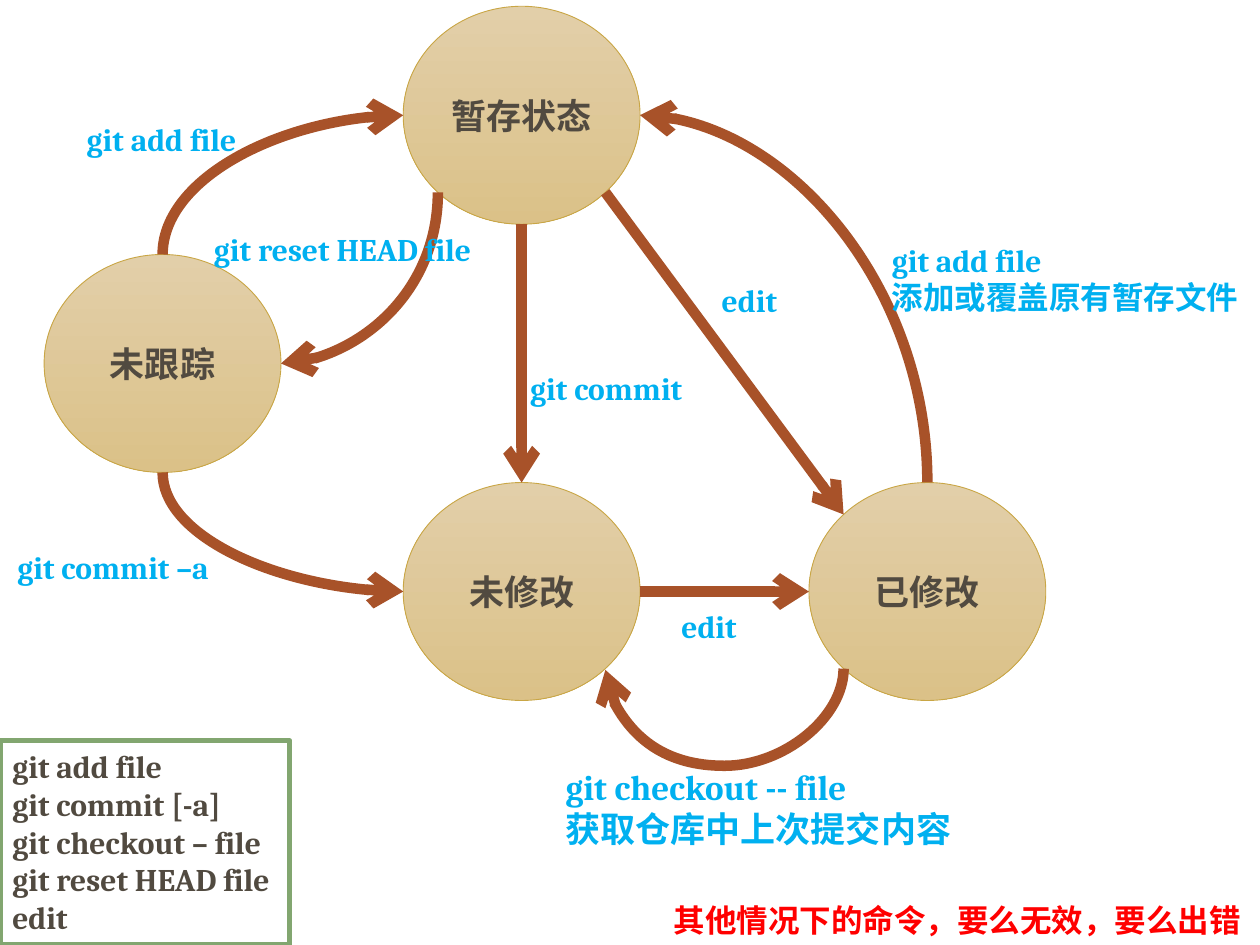
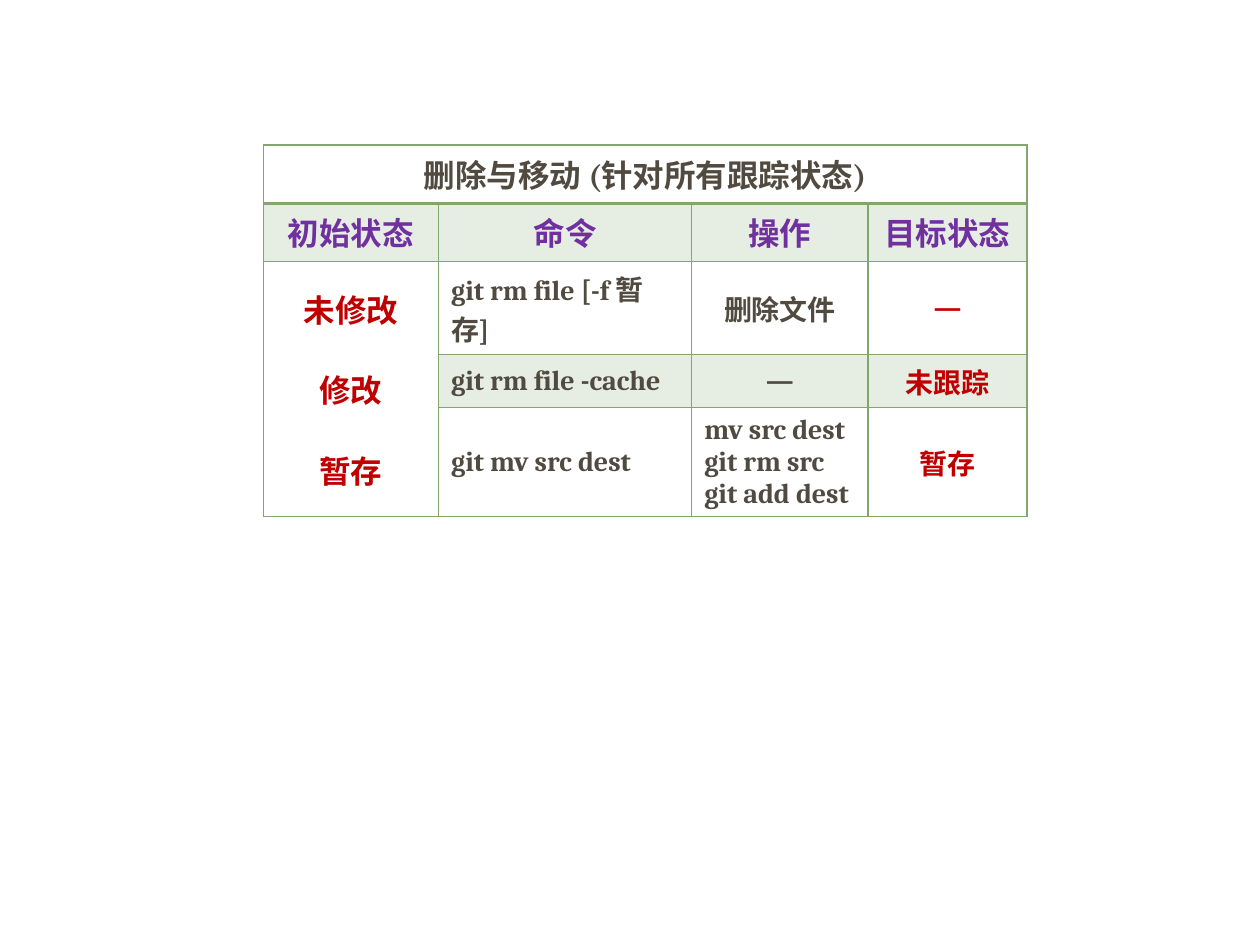
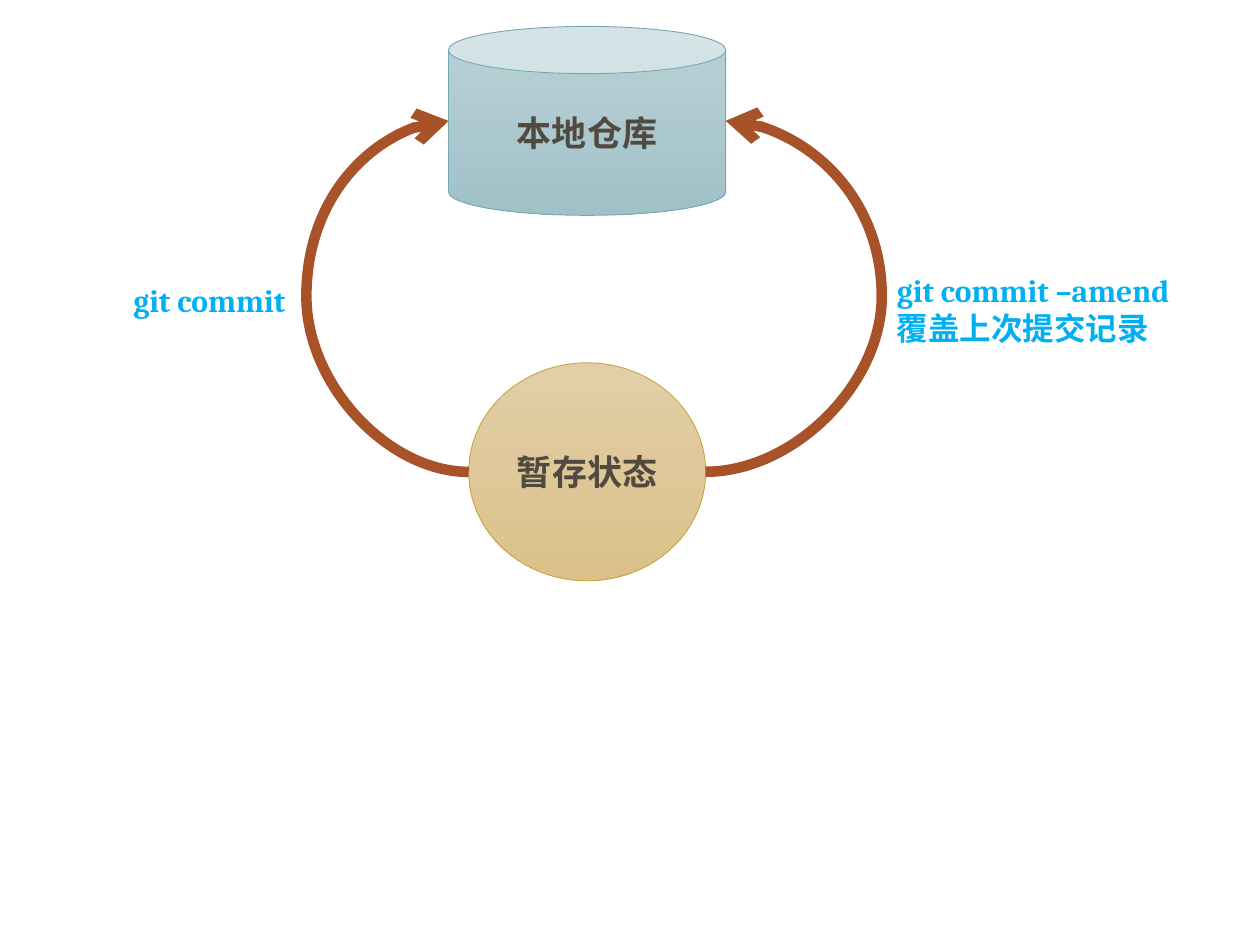
from math import sqrt
from lxml.etree import SubElement
from pptx import Presentation
from pptx.dml.color import RGBColor
from pptx.enum.shapes import MSO_CONNECTOR as CONN, MSO_SHAPE as SHAPE
from pptx.enum.text import MSO_ANCHOR as ANCHOR, MSO_AUTO_SIZE as AUTO, PP_ALIGN as ALIGN
from pptx.oxml import parse_xml
from pptx.oxml.ns import nsdecls, qn
from pptx.util import Inches, Pt

FONT = "Cambria"
DARK, CYAN, RED = "514A40", "00B0F0", "FF0000"
GREEN, ARROW = "82A670", "A85229"
PURPLE, CRIMSON = "7030A0", "C00000"
STATE = ("E2CFA9", "DBC188", "C9A645")
REPO = ("BAD1D6", "A1C1C9", "76A7B2")
STATE_W, STATE_H = 1.88, 1.73
MIN_SPAN = 0.01

D = sqrt(0.5) / 2
ELLIPSE_SITES = {
    "top": (0, 0.5, 0), "left": (2, 0, 0.5), "bottom": (4, 0.5, 1), "right": (6, 1, 0.5),
    "bottom left": (3, 0.5 - D, 0.5 + D), "bottom right": (5, 0.5 + D, 0.5 + D),
    "top left": (1, 0.5 - D, 0.5 - D),
}
CAN_SITES = {"left": (2, 0, 0.5), "right": (4, 1, 0.5)}

FLOW_STATES = {"暂存状态": (3.2, 0.05), "未修改": (3.2, 3.83), "已修改": (6.42, 3.83), "未跟踪": (0.35, 2.02)}
FLOW_ARROWS = [
    ("未跟踪", "top", "暂存状态", "left", "quarter", None),
    ("暂存状态", "bottom", "未修改", "top", "straight", None),
    ("已修改", "top", "暂存状态", "right", "quarter", None),
    ("未跟踪", "bottom", "未修改", "left", "quarter", None),
    ("未修改", "right", "已修改", "left", "straight", None),
    ("暂存状态", "bottom right", "已修改", "top left", "straight", None),
    ("已修改", "bottom left", "未修改", "bottom right", "loop down", 6.09),
    ("暂存状态", "bottom left", "未跟踪", "right", "quarter", None),
]
FLOW_LABELS = [
    (0.59, 0.9, 1.43, 0.4, ["git add file"], {}),
    (5.31, 4.77, 0.66, 0.4, ["edit"], {}),
    (4.11, 2.88, 1.44, 0.4, ["git commit"], {}),
    (6.98, 1.86, 2.98, 0.71, ["git add file", "添加或覆盖原有暂存文件"], {}),
    (5.63, 2.18, 0.66, 0.4, ["edit"], {}),
    (0.04, 4.3, 1.76, 0.4, ["git commit –a"], {}),
    (4.39, 6.03, 3.29, 0.77, ["git checkout -- file", "获取仓库中上次提交内容"], {"size": 20}),
    (5.25, 7.1, 4.75, 0.4, ["其他情况下的命令，要么无效，要么出错"], {"color": RED}),
    (1.6, 1.78, 2.3, 0.4, ["git reset HEAD file"], {}),
]
COMMANDS = ["git add file", "git commit [-a]", "git checkout – file", "git reset HEAD file", "edit"]

TABLE_TITLE = "删除与移动 (针对所有跟踪状态)"
TABLE_HEADS = ["初始状态", "命令", "操作", "目标状态"]
TABLE_STATES = ["未修改", "修改", "暂存"]
TABLE_ROWS = [
    ("git rm file [-f 暂存]", ["删除文件"], "—"),
    ("git rm file -cache", ["—"], "未跟踪"),
    ("git mv src dest", ["mv src dest", "git rm src", "git add dest"], "暂存"),
]
COL_WIDTHS = [1.39, 2.01, 1.4, 1.26]
ROW_HEIGHT = 0.41

REPO_ARROWS = [
    ("暂存状态", "left", "本地仓库", "left", "loop side", 2.43),
    ("暂存状态", "right", "本地仓库", "right", "loop side", 7),
]
REPO_LABELS = [
    (0.96, 2.18, 1.44, 0.4, ["git commit"], {}),
    (7.02, 2.1, 2.47, 0.71, ["git commit –amend", "覆盖上次提交记录"], {}),
]


def rgb(color):
    return RGBColor.from_string(color)


def write(tf, lines, size=18, color=DARK, align=ALIGN.LEFT, gap=0):
    for i, line in enumerate(lines):
        p = tf.add_paragraph() if i else tf.paragraphs[0]
        p.alignment = align
        if i and gap:
            p.space_before = Pt(gap)
        r = p.add_run()
        r.text = line
        r.font.name, r.font.size, r.font.bold = FONT, Pt(size), True
        r.font.color.rgb = rgb(color)


def add_node(s, text, x, y, w=STATE_W, h=STATE_H, shape=SHAPE.OVAL, colors=STATE):
    sp = s.shapes.add_shape(shape, Inches(x), Inches(y), Inches(w), Inches(h))
    sp.shadow.inherit = False
    sp.fill.gradient()
    sp.fill.gradient_angle = 270
    for stop, color, pos in zip(sp.fill.gradient_stops, colors, (0, 1)):
        stop.color.rgb = rgb(color)
        stop.position = pos
    sp.line.color.rgb = rgb(colors[2])
    sp.line.width = Pt(0.5)
    sp.text_frame.vertical_anchor = ANCHOR.MIDDLE
    write(sp.text_frame, [text], size=20, align=ALIGN.CENTER)
    sites = CAN_SITES if shape == SHAPE.CAN else ELLIPSE_SITES
    return sp, {k: (i, x + fx * w, y + fy * h) for k, (i, fx, fy) in sites.items()}


def bend(cx, x1, y1, x2, y2, kind, via):
    dx, dy = x2 - x1, y2 - y1
    if kind == "loop side":
        rot = 180 if dx < 0 else 0
        flip_h, flip_v = False, (dy < 0) != (dx < 0)
        w, h = abs(dx), abs(dy)
    else:
        same = dx * dy > 0
        rot = 270 if same else 90
        flip_h, flip_v = (dy < 0) != same, (dx > 0) != same
        w, h = abs(dy), abs(dx)
    cx.left, cx.top = Inches((x1 + x2 - w) / 2), Inches((y1 + y2 - h) / 2)
    cx.width, cx.height = Inches(w), Inches(h)
    xfrm = cx.element.spPr.find(qn("a:xfrm"))
    for name, value in (("rot", rot * 60000), ("flipH", int(flip_h)), ("flipV", int(flip_v))):
        xfrm.set(name, str(value))
    geom = cx.element.spPr.find(qn("a:prstGeom"))
    if kind == "quarter":
        geom.set("prst", "curvedConnector2")
        return
    ratio = (via - x1) / dx if kind == "loop side" else (via - y1) / dy
    guides = geom.find(qn("a:avLst"))
    if guides is None:
        guides = SubElement(geom, qn("a:avLst"))
    SubElement(guides, qn("a:gd"), name="adj1", fmla=f"val {round(ratio * 100000)}")


def add_arrow(s, nodes, start, start_site, end, end_site, kind, via):
    (sp1, sites1), (sp2, sites2) = nodes[start], nodes[end]
    i1, x1, y1 = sites1[start_site]
    i2, x2, y2 = sites2[end_site]
    if kind == "loop down":
        y2 = y1 + MIN_SPAN
    form = CONN.STRAIGHT if kind == "straight" else CONN.CURVE
    cx = s.shapes.add_connector(form, Inches(x1), Inches(y1), Inches(x2), Inches(y2))
    if kind != "straight":
        bend(cx, x1, y1, x2, y2, kind, via)
    joints = cx.element.find(".//" + qn("p:cNvCxnSpPr"))
    for tag, sp, i in (("a:stCxn", sp1, i1), ("a:endCxn", sp2, i2)):
        SubElement(joints, qn(tag), id=str(sp.shape_id), idx=str(i))
    cx.line.color.rgb = rgb(ARROW)
    cx.line.width = Pt(6)
    SubElement(cx.element.spPr.find(qn("a:ln")), qn("a:tailEnd"), type="arrow")
    SubElement(cx.element.spPr, qn("a:effectLst"))


def add_label(s, x, y, w, h, lines, style):
    sp = s.shapes.add_textbox(Inches(x), Inches(y), Inches(w), Inches(h))
    sp.text_frame.word_wrap = False
    sp.text_frame.auto_size = AUTO.SHAPE_TO_FIT_TEXT
    write(sp.text_frame, lines, **{"color": CYAN, **style})


def add_diagram(s, nodes, arrows, labels):
    for arrow in arrows:
        add_arrow(s, nodes, *arrow)
    for label in labels:
        add_label(s, *label)


def add_command_list(s):
    sp = s.shapes.add_shape(SHAPE.RECTANGLE, 0, Inches(5.88), Inches(2.3), Inches(1.62))
    sp.shadow.inherit = False
    sp.fill.solid()
    sp.fill.fore_color.rgb = rgb("FFFFFF")
    sp.line.color.rgb = rgb(GREEN)
    sp.line.width = Pt(3)
    tf = sp.text_frame
    tf.word_wrap, tf.auto_size = False, AUTO.SHAPE_TO_FIT_TEXT
    tf.vertical_anchor = ANCHOR.TOP
    write(tf, COMMANDS)


def style_cell(cell, row):
    if row in (1, 3):
        cell.fill.solid()
        cell.fill.fore_color.rgb = rgb(GREEN)
        color = cell.fill._xPr.find(".//" + qn("a:srgbClr"))
        SubElement(color, qn("a:alpha"), val="20000")
    else:
        cell.fill.background()
    tc_pr = cell.fill._xPr
    for i, side in enumerate("LRTB"):
        thick = (row, side) in ((0, "B"), (1, "T"))
        tc_pr.insert(i, parse_xml(
            f'<a:ln{side} {nsdecls("a")} w="{Pt(2 if thick else 1)}">'
            f'<a:solidFill><a:srgbClr val="{GREEN}"/></a:solidFill></a:ln{side}>'))


def add_command_table(s):
    rows, cols = 2 + len(TABLE_ROWS), len(COL_WIDTHS)
    frame = s.shapes.add_table(rows, cols, Inches(2.09), Inches(1.15),
                               Inches(sum(COL_WIDTHS)), Inches(rows * ROW_HEIGHT))
    table = frame.table
    table.first_row = table.horz_banding = False
    for col, width in zip(table.columns, COL_WIDTHS):
        col.width = Inches(width)
    for i, row in enumerate(table.rows):
        row.height = Inches(ROW_HEIGHT)
        for j, cell in enumerate(row.cells):
            cell.vertical_anchor = ANCHOR.MIDDLE if i > 1 else ANCHOR.TOP
            style_cell(cell, 2 if j == 0 and i > 1 else i)
    table.cell(0, 0).merge(table.cell(0, cols - 1))
    table.cell(2, 0).merge(table.cell(rows - 1, 0))
    write(table.cell(0, 0).text_frame, [TABLE_TITLE], align=ALIGN.CENTER)
    for j, head in enumerate(TABLE_HEADS):
        write(table.cell(1, j).text_frame, [head], color=PURPLE, align=ALIGN.CENTER)
    write(table.cell(2, 0).text_frame, TABLE_STATES, color=CRIMSON, align=ALIGN.CENTER, gap=20)
    for i, (command, actions, target) in enumerate(TABLE_ROWS, 2):
        write(table.cell(i, 1).text_frame, [command], size=16)
        write(table.cell(i, 2).text_frame, actions, size=16,
              align=ALIGN.LEFT if len(actions) > 1 else ALIGN.CENTER)
        write(table.cell(i, 3).text_frame, [target], size=16, color=CRIMSON, align=ALIGN.CENTER)


def main():
    prs = Presentation()
    prs.slide_width, prs.slide_height = Inches(10), Inches(7.5)
    flow, moves, repo = (prs.slides.add_slide(prs.slide_layouts[6]) for _ in range(3))

    nodes = {text: add_node(flow, text, *at) for text, at in FLOW_STATES.items()}
    add_command_list(flow)
    add_diagram(flow, nodes, FLOW_ARROWS, FLOW_LABELS)

    add_command_table(moves)

    nodes = {
        "暂存状态": add_node(repo, "暂存状态", 3.72, 2.88),
        "本地仓库": add_node(repo, "本地仓库", 3.56, 0.21, 2.2, 1.5, SHAPE.CAN, REPO),
    }
    add_diagram(repo, nodes, REPO_ARROWS, REPO_LABELS)
    prs.save("out.pptx")


if __name__ == "__main__":
    main()
